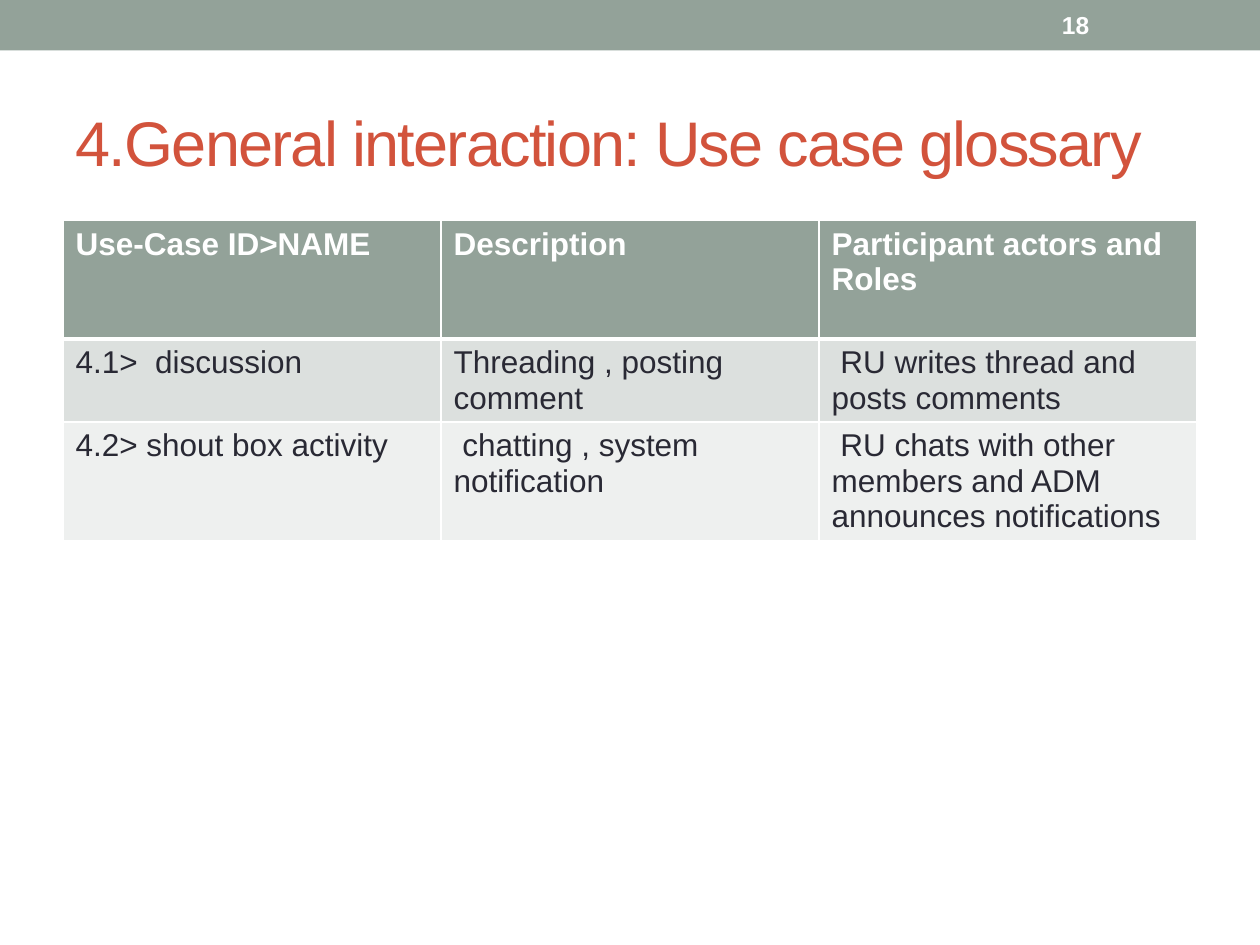
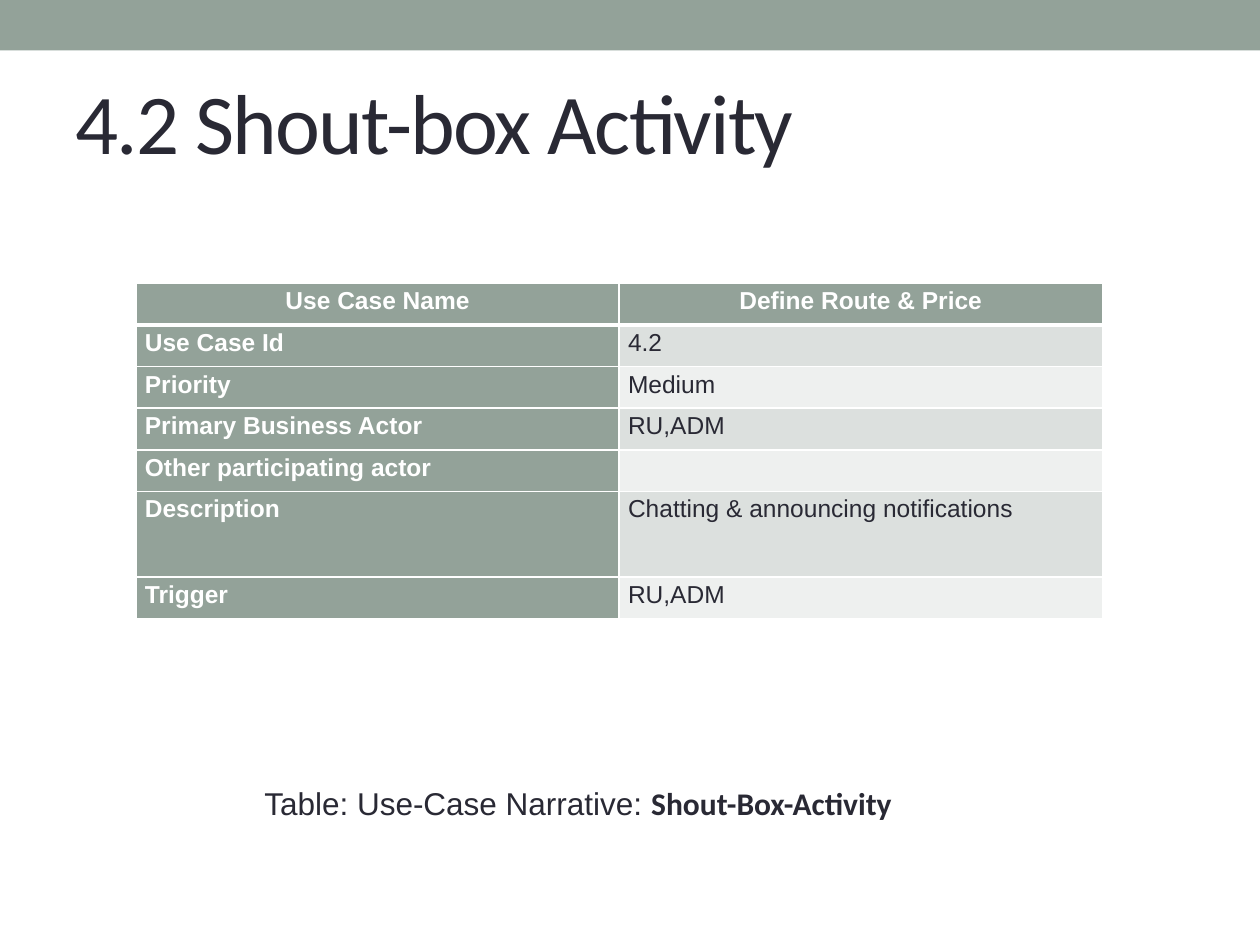
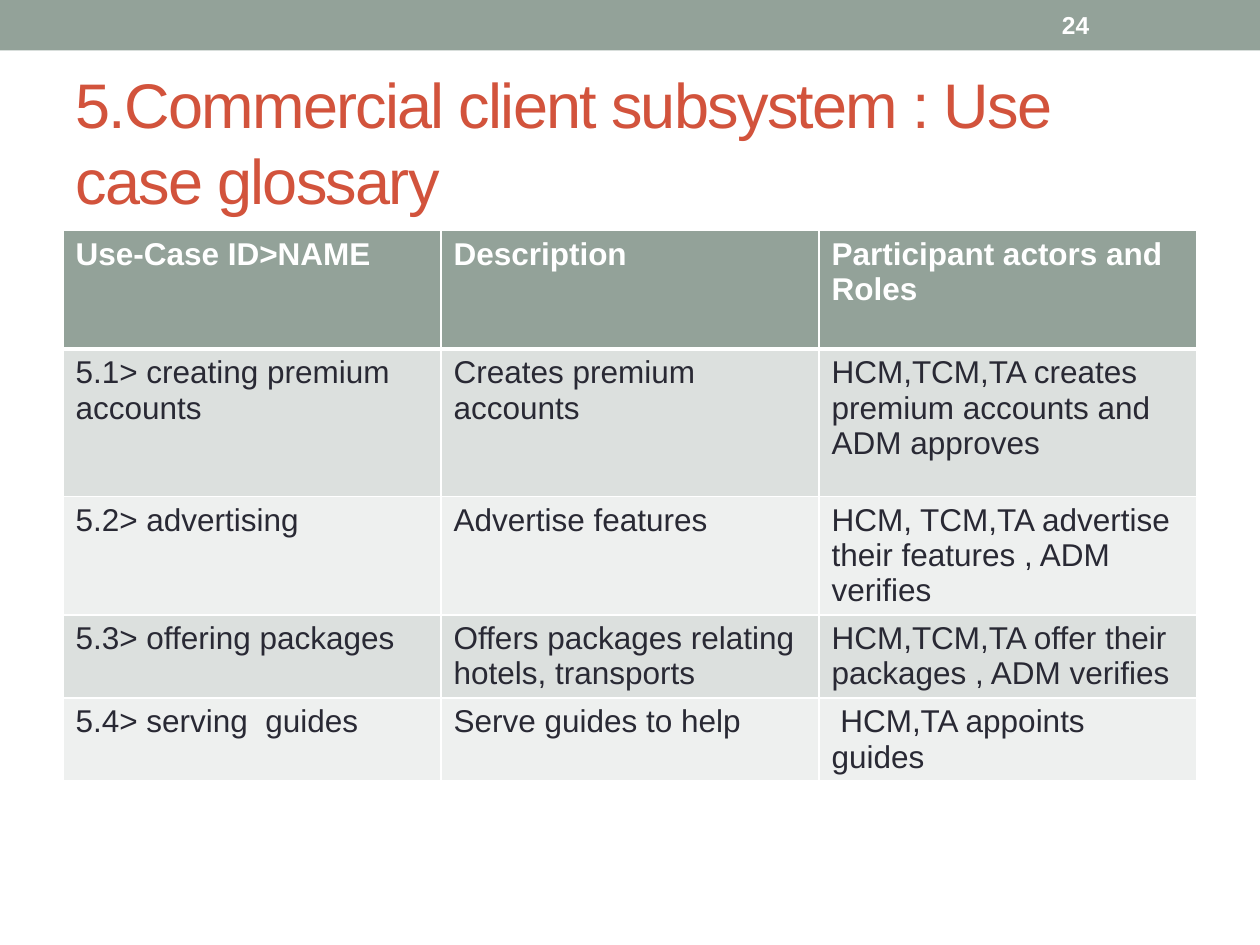
from dataclasses import dataclass

from lxml.etree import SubElement as SubEl
from pptx import Presentation as Deck
from pptx.dml.color import RGBColor as Color
from pptx.enum.shapes import MSO_SHAPE as Shape
from pptx.enum.text import MSO_ANCHOR as Anchor, MSO_AUTO_SIZE as Fit, PP_ALIGN as Align
from pptx.oxml.ns import qn
from pptx.util import Inches, Pt

SAGE = Color(0x93, 0xA2, 0x99)
RUST = Color(0xD2, 0x53, 0x3C)
INK = Color(0x29, 0x29, 0x34)
WHITE = Color(0xFF, 0xFF, 0xFF)
BANDS = (Color(0xDC, 0xE0, 0xDE), Color(0xEE, 0xF0, 0xEF))
HEAD = ("Use-Case ID>NAME", "Description", "Participant actors and Roles")


@dataclass(frozen=True)
class Font:
    size: float
    color: Color
    bold: bool = False
    name: str = "Arial"


@dataclass(frozen=True)
class Title:
    text: str
    font: Font = Font(36, RUST)
    top: float = 0.58
    height: float = 1.08
    anchor: Anchor = Anchor.MIDDLE
    inset: float = 0.05


@dataclass(frozen=True)
class Grid:
    rows: tuple
    heights: tuple
    top: float
    left: float = 0.5
    width: float = 9
    size: float = 18
    pad: tuple = (0.1, 0.05)
    spacing: float = 1.0
    center: bool = False
    side: bool = False


@dataclass(frozen=True)
class Page:
    title: Title
    grid: Grid
    number: str = ""
    caption: tuple = ()


PAGES = (
    Page(
        Title("4.General interaction: Use case glossary"),
        Grid(
            (
                HEAD,
                ("4.1>  discussion", "Threading , posting comment", " RU writes thread and posts comments"),
                ("4.2> shout box activity", " chatting , system notification",
                 " RU chats with other members and ADM announces notifications"),
            ),
            (0.94, 0.66, 0.94), 1.75,
        ),
        number="18",
    ),
    Page(
        Title("4.2 Shout-box Activity", Font(48.6, INK, name="Calibri"), 0.42, 1.6, Anchor.TOP, 0.13),
        Grid(
            (
                ("Use Case Name", "Define Route & Price"),
                ("Use Case Id", "4.2"),
                ("Priority", "Medium"),
                ("Primary Business Actor", "RU,ADM"),
                ("Other participating actor", ""),
                ("Description", "Chatting & announcing notifications"),
                ("Trigger", "RU,ADM"),
            ),
            (0.33,) * 5 + (0.68, 0.33), 2.25, 1.08, 7.67, 14, (0.07, 0), 1.15, True, True,
        ),
        caption=("Table: Use-Case Narrative: ", "Shout-Box-Activity"),
    ),
    Page(
        Title("5.Commercial client subsystem : Use case glossary"),
        Grid(
            (
                HEAD,
                ("5.1> creating premium accounts", "Creates premium accounts",
                 "HCM,TCM,TA creates premium accounts and ADM approves"),
                ("5.2> advertising", "Advertise features",
                 "HCM, TCM,TA advertise their features , ADM verifies"),
                ("5.3> offering packages", "Offers packages relating hotels, transports",
                 "HCM,TCM,TA offer their packages , ADM verifies"),
                ("5.4> serving  guides", "Serve guides to help", " HCM,TA appoints guides"),
            ),
            (0.94, 1.17, 0.93, 0.66, 0.66), 1.83,
        ),
        number="24",
    ),
)


def style(run, font: Font) -> None:
    run.font.name = font.name
    run.font.size = Pt(font.size)
    run.font.bold = font.bold
    run.font.color.rgb = font.color


def border(cell, top: float, bottom: float) -> None:
    props = cell._tc.get_or_add_tcPr()
    for spot, (side, width) in enumerate((("L", 1), ("R", 1), ("T", top), ("B", bottom))):
        line = SubEl(props, qn(f"a:ln{side}"), w=str(Pt(width)))
        fill = SubEl(line, qn("a:solidFill"))
        SubEl(fill, qn("a:srgbClr"), val=str(WHITE))
        props.insert(spot, line)


def add_band(slide) -> None:
    band = slide.shapes.add_shape(Shape.RECTANGLE, 0, 0, Inches(10), Inches(0.4))
    band.shadow.inherit = False
    band.fill.solid()
    band.fill.fore_color.rgb = SAGE
    band.line.fill.background()


def add_title(slide, title: Title) -> None:
    box = slide.shapes.title
    box.left, box.top = Inches(0.5), Inches(title.top)
    box.width, box.height = Inches(9), Inches(title.height)
    frame = box.text_frame
    frame.text = title.text
    frame.auto_size = Fit.NONE
    frame.vertical_anchor = title.anchor
    frame.margin_top = Inches(title.inset)
    line = frame.paragraphs[0]
    line.alignment = Align.LEFT
    run = line.runs[0]
    style(run, title.font)
    run.font._element.set("spc", "-100")


def add_grid(slide, grid: Grid) -> None:
    count = len(grid.rows[0])
    table = slide.shapes.add_table(
        len(grid.rows), count, Inches(grid.left), Inches(grid.top),
        Inches(grid.width), Inches(sum(grid.heights)),
    ).table
    for col in table.columns:
        col.width = Inches(grid.width / count)
    for r, (texts, height) in enumerate(zip(grid.rows, grid.heights)):
        table.rows[r].height = Inches(height)
        for c, text in enumerate(texts):
            cell = table.cell(r, c)
            strong = r == 0 or (grid.side and c == 0)
            cell.margin_left = cell.margin_right = Inches(grid.pad[0])
            cell.margin_top = cell.margin_bottom = Inches(grid.pad[1])
            cell.fill.solid()
            cell.fill.fore_color.rgb = SAGE if strong else BANDS[(r - 1) % 2]
            border(cell, 3 if r == 1 else 1, 3 if r == 0 else 1)
            cell.text_frame.text = text
            line = cell.text_frame.paragraphs[0]
            line.line_spacing = grid.spacing
            line.alignment = Align.CENTER if grid.center and r == 0 else Align.LEFT
            for run in line.runs:
                style(run, Font(grid.size, WHITE if strong else INK, strong))


def add_text(slide, left: float, top: float, width: float, height: float,
             parts: tuple, anchor: Anchor = Anchor.TOP) -> None:
    box = slide.shapes.add_textbox(Inches(left), Inches(top), Inches(width), Inches(height))
    frame = box.text_frame
    frame.word_wrap = True
    frame.vertical_anchor = anchor
    for text, font in parts:
        run = frame.paragraphs[0].add_run()
        run.text = text
        style(run, font)


def add_page(deck, page: Page) -> None:
    slide = deck.slides.add_slide(deck.slide_layouts[5])
    add_band(slide)
    add_title(slide, page.title)
    add_grid(slide, page.grid)
    if page.number:
        add_text(slide, 8.33, 0.02, 1.17, 0.36, ((page.number, Font(14, WHITE, True)),), Anchor.MIDDLE)
    if page.caption:
        fonts = (Font(18, INK), Font(18, INK, True, "Calibri"))
        add_text(slide, 2, 6.17, 5.67, 0.4, tuple(zip(page.caption, fonts)))


def main() -> None:
    deck = Deck()
    deck.slide_width, deck.slide_height = Inches(10), Inches(7.5)
    for page in PAGES:
        add_page(deck, page)
    deck.save("out.pptx")


if __name__ == "__main__":
    main()
